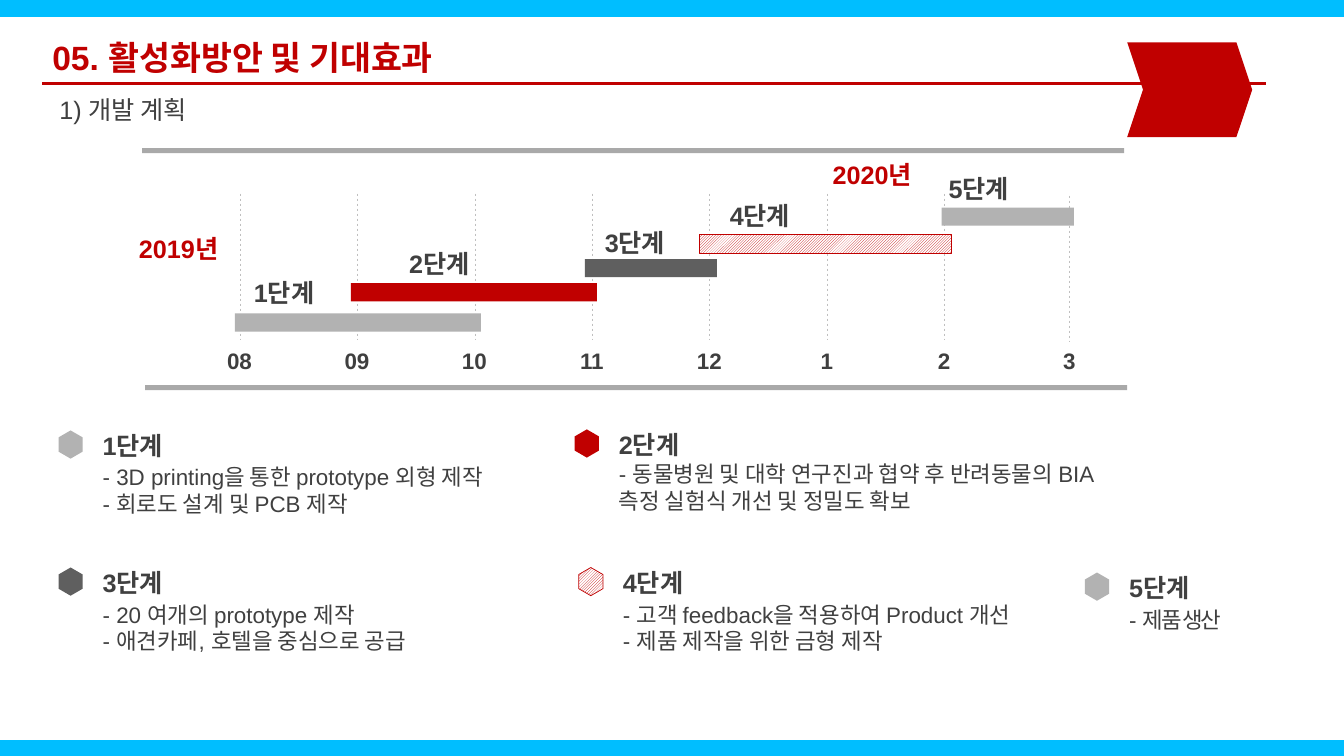
from dataclasses import dataclass

from lxml import etree
from pptx import Presentation
from pptx import util as u
from pptx.dml.color import RGBColor
from pptx.enum import dml, shapes, text
from pptx.oxml.ns import qn

KIND = shapes.MSO_SHAPE
ALIGN = text.PP_ALIGN


@dataclass
class Theme:
    """Colours, font and type sizes."""
    sky: str = "00BEFF"
    white: str = "FFFFFF"
    red: str = "C00000"
    ink: str = "404040"
    month: str = "3F3F3F"
    light: str = "B2B2B2"
    dark: str = "5F5F5F"
    grid: str = "BFBFBF"
    rule: str = "555555"
    hatch: str = "hatch"
    font: str = "Arial"
    title: int = 24
    head: int = 18
    body: int = 16


def tint(name):
    """Turn a hex name into a colour."""
    return RGBColor.from_string(name)


class Deck:
    """Draws elements on one slide in one style."""

    def __init__(self, slide, theme):
        """Keep the slide and its theme."""
        self.slide, self.theme = slide, theme

    def shape(self, kind, left, top, width, height, color, turn=0, adjust=None, alpha=None):
        """Add a filled shape; hatched ones get a thin red outline."""
        item = self.slide.shapes.add_shape(
            kind, *map(u.Inches, (left, top, width, height)))
        item.shadow.inherit = False
        item.rotation = turn
        if adjust is not None:
            item.adjustments[0] = adjust
        if color == self.theme.hatch:
            item.fill.patterned()
            item.fill.pattern = dml.MSO_PATTERN.LIGHT_UPWARD_DIAGONAL
            item.fill.fore_color.rgb = tint(self.theme.red)
            item.fill.back_color.rgb = tint(self.theme.white)
            item.line.color.rgb = tint(self.theme.red)
            item.line.width = u.Pt(0.5)
        else:
            item.fill.solid()
            item.fill.fore_color.rgb = tint(color)
            item.line.fill.background()
        if alpha is not None:
            node = item.fill._xPr.find(".//" + qn("a:srgbClr"))
            etree.SubElement(node, qn("a:alpha")).set("val", str(alpha * 1000))

    def line(self, start, end, color, width, dash=False):
        """Add a straight line."""
        item = self.slide.shapes.add_connector(
            shapes.MSO_CONNECTOR.STRAIGHT, *map(u.Inches, (*start, *end)))
        item.line.color.rgb = tint(color)
        item.line.width = u.Pt(width)
        if dash:
            item.line.dash_style = dml.MSO_LINE.DASH
        etree.SubElement(item._element.spPr, qn("a:effectLst"))

    def text(self, words, left, top, width, height, size, color,
             bold=False, align=ALIGN.LEFT, anchor=text.MSO_ANCHOR.TOP):
        """Add a text box and return its frame."""
        box = self.slide.shapes.add_textbox(
            *map(u.Inches, (left, top, width, height)))
        frame = box.text_frame
        frame.word_wrap = True
        frame.vertical_anchor = anchor
        frame.text = words
        for para in frame.paragraphs:
            para.alignment = align
            for run in para.runs:
                self.style(run, size, color, bold)
        return frame

    def style(self, run, size, color, bold=False):
        """Format one run."""
        run.font.name = self.theme.font
        run.font.size = u.Pt(size)
        run.font.bold = bold
        run.font.color.rgb = tint(color)

    def label(self, words, left, top, color):
        """Add a bold heading label."""
        self.text(words, left, top, 2, 0.4, self.theme.head, color, bold=True)

    def phase(self, name, words, left, top, width, color, gap=0.33):
        """Add a hexagon, a heading and its details; return the details."""
        self.shape(KIND.HEXAGON, left - 0.36, top + 0.07, 0.28, 0.24,
                   color, turn=90, adjust=0.289)
        self.label(name, left, top, self.theme.ink)
        return self.text(words, left, top + gap, width, 0.82,
                         self.theme.body, self.theme.ink)


def frame(deck):
    """Draw the page, title and rules."""
    look = deck.theme
    deck.shape(KIND.RECTANGLE, 0, 0.17, 13.33, 7.17, look.white)
    deck.text("1) 개발 계획", 0.49, 0.89, 6.17, 0.31, look.head, look.ink)
    deck.text("05. 활성화방안 및 기대효과", 0.42, 0.32, 12.49, 0.5, look.title,
              look.red, bold=True, anchor=text.MSO_ANCHOR.MIDDLE)
    deck.line((0.42, 0.83), (12.56, 0.83), look.red, 2.25)
    deck.shape(KIND.CHEVRON, 11.18, 0.42, 1.24, 0.94, look.red, adjust=0.167)
    for left, top in ((1.44, 3.82), (1.41, 1.47)):
        deck.shape(KIND.RECTANGLE, left, top, 9.74, 0.05, look.rule, alpha=50)


def plan(deck):
    """Draw the month grid, the phase bars and their labels."""
    look = deck.theme
    months = ("08", "09", "10", "11", "12", "1", "2", "3")
    for step, month in enumerate(months):
        last = month == months[-1]
        mid = 10.61 if last else 2.38 + step * 1.165
        top = 1.94 if last else 1.92
        deck.line((mid, top), (mid, top + 1.44), look.grid, 0.5, dash=True)
        deck.text(month, mid - 0.41, 3.39, 0.81, 0.37, look.body, look.month,
                  bold=True, align=ALIGN.CENTER)
    bars = (
        (2.33, 3.11, 2.44, look.light, 2.42, 2.7),
        (3.48, 2.81, 2.44, look.red, 3.96, 2.41),
        (5.8, 2.57, 1.31, look.dark, 5.9, 2.21),
        (6.94, 2.33, 2.5, look.hatch, 7.14, 1.94),
        (9.34, 2.06, 1.31, look.light, 9.31, 1.67),
    )
    for step, (left, top, width, color, *spot) in enumerate(bars, 1):
        deck.shape(KIND.RECTANGLE, left, top, width, 0.18, color)
        deck.label(f"{step}단계", *spot, look.ink)
    deck.label("2019년", 1.28, 2.27, look.red)
    deck.label("2020년", 8.16, 1.53, look.red)


def notes(deck):
    """Draw the phase details below the plan."""
    look = deck.theme
    deck.phase("1단계", "- 3D printing을 통한 prototype 외형 제작\n"
               "- 회로도 설계 및 PCB 제작", 0.92, 4.22, 4.39, look.light)
    deck.phase("2단계", "- 동물병원 및 대학 연구진과 협약 후 반려동물의 BIA "
               "측정 실험식 개선 및 정밀도 확보", 6.04, 4.21, 5.14, look.red, gap=0.31)
    deck.phase("3단계", "- 20 여개의 prototype 제작\n"
               "- 애견카페, 호텔을 중심으로 공급", 0.92, 5.58, 3.71, look.dark)
    deck.phase("4단계", "- 고객 feedback을 적용하여 Product 개선\n"
               "- 제품 제작을 위한 금형 제작", 6.08, 5.58, 4.55, look.hatch)
    last = deck.phase("5단계", "- ", 11.1, 5.63, 2, look.light)
    run = last.paragraphs[0].add_run()
    run.text = "제품 생산"
    deck.style(run, look.body, look.ink)
    run.font._element.set("spc", "-150")


def main():
    """Build and save the slide."""
    show = Presentation()
    show.slide_width, show.slide_height = u.Inches(13.33), u.Inches(7.5)
    slide = show.slides.add_slide(show.slide_layouts[6])
    deck = Deck(slide, Theme())
    slide.background.fill.solid()
    slide.background.fill.fore_color.rgb = tint(deck.theme.sky)
    frame(deck)
    plan(deck)
    notes(deck)
    show.save("out.pptx")


main()
